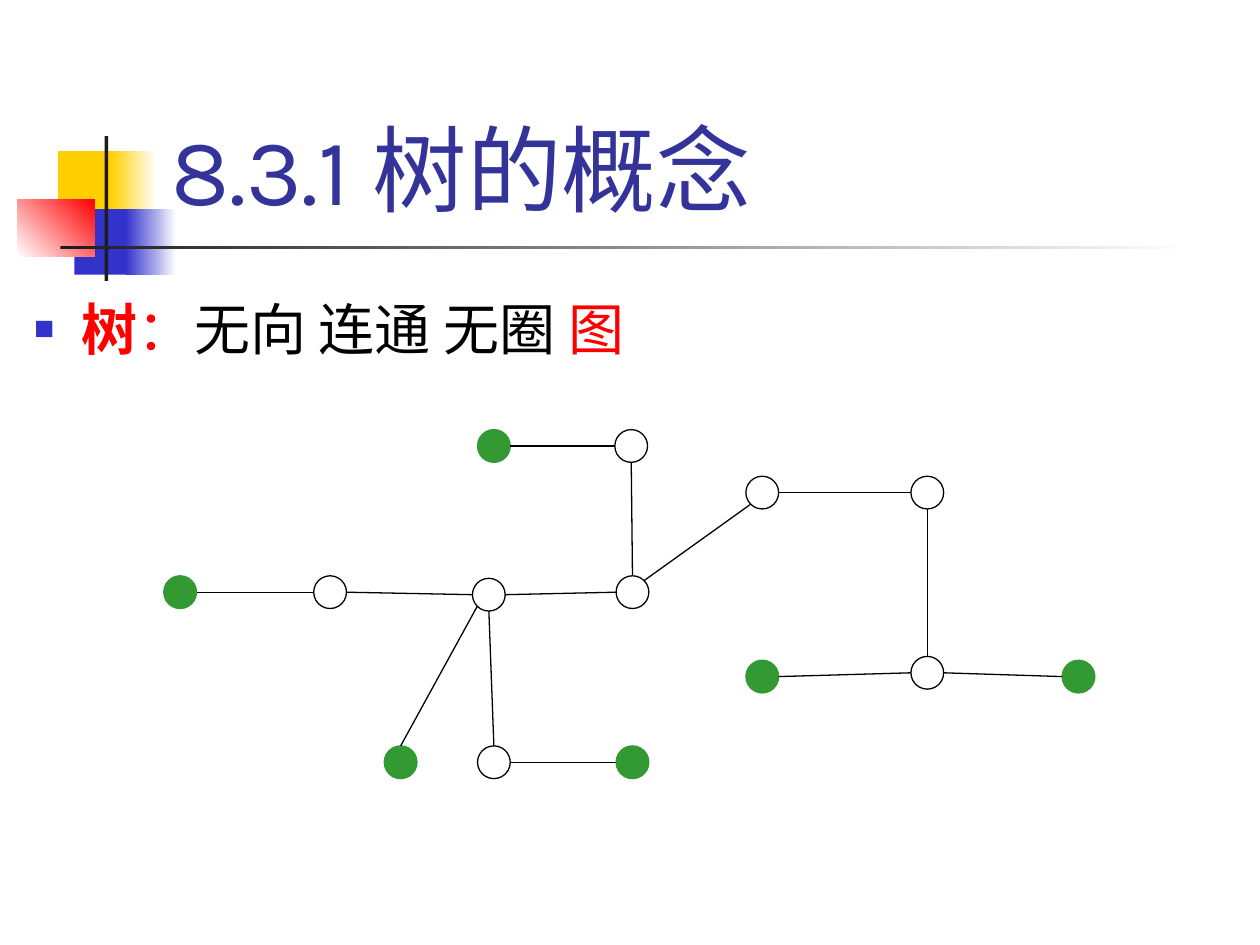
import math

from lxml import etree
from pptx import Presentation
from pptx.dml.color import RGBColor
from pptx.enum import shapes, text
from pptx.oxml import ns
from pptx.util import Inches, Pt

FONT = "Karla"
TITLE = "8.3.1 树的概念"
# text, colour, bold
DEFINITION = [
    ("树", "FF0000", True),
    ("：", "FF0000", False),
    ("无向 连通 无圈 ", "000000", False),
    ("图", "FF0000", False),
]

# left, top, width, height, colours (two make a gradient), angle
ORNAMENTS = [
    (0.46, 1.2, 0.48, 0.52, ["FFCF01"], 0),
    (0.88, 1.2, 0.36, 0.52, ["FFCF01", "FFFFFF"], 0),
    (0.59, 1.66, 0.46, 0.52, ["3333CC"], 0),
    (1, 1.66, 0.4, 0.52, ["3333CC", "FFFFFF"], 0),
    (0.14, 1.58, 0.61, 0.46, ["FFFFFF", "FF0000"], 45),
    (0.83, 1.08, 0.03, 1.15, ["1C1C1C"], 0),
    (0.48, 1.95, 9, 0.03, ["1C1C1C", "FFFFFF"], 0),
]

# Left and top of each vertex of the tree
INNER = {
    "hub": (3.75, 4.59), "top": (4.88, 3.41), "centre": (4.89, 4.57),
    "west": (2.49, 4.57), "east": (7.23, 5.21), "north": (5.92, 3.78),
    "corner": (7.23, 3.78), "south": (3.79, 5.92),
}
LEAVES = {
    "top leaf": (3.79, 3.41), "west leaf": (1.3, 4.57),
    "east leaf": (8.43, 5.24), "south leaf": (4.89, 5.92),
    "hub leaf": (3.05, 5.92), "inner leaf": (5.92, 5.24),
}
VERTICES = {**INNER, **LEAVES}
DIAMETER = 0.26

# Vertex and the angle on its rim (clockwise from the right), for both ends
RIGHT, DOWN, DOWN_LEFT, LEFT, UP, UP_RIGHT = 0, 90, 135, 180, 270, 315
EDGES = [
    ("top leaf", RIGHT, "top", LEFT),
    ("top", DOWN, "centre", UP),
    ("centre", LEFT, "hub", RIGHT),
    ("hub", DOWN, "south", UP),
    ("south", RIGHT, "south leaf", LEFT),
    ("hub", DOWN_LEFT, "hub leaf", UP),
    ("west", LEFT, "west leaf", RIGHT),
    ("centre", UP_RIGHT, "north", DOWN_LEFT),
    ("north", RIGHT, "corner", LEFT),
    ("inner leaf", RIGHT, "east", LEFT),
    ("corner", DOWN, "east", UP),
    ("east", RIGHT, "east leaf", LEFT),
    ("west", RIGHT, "hub", LEFT),
]


def rgb(value):
    return RGBColor.from_string(value)


def place(shape, *box):
    shape.left, shape.top, shape.width, shape.height = map(Inches, box)


def add_ornament(slide, left, top, width, height, colours, angle):
    block = slide.shapes.add_shape(
        shapes.MSO_SHAPE.RECTANGLE, *map(Inches, (left, top, width, height)))
    block.shadow.inherit = False
    block.line.fill.background()
    if len(colours) == 1:
        block.fill.solid()
        block.fill.fore_color.rgb = rgb(colours[0])
        return
    block.fill.gradient()
    block.fill.gradient_angle = angle
    for stop, colour in zip(block.fill.gradient_stops, colours):
        stop.color.rgb = rgb(colour)


def add_vertex(group, left, top, fill, line):
    vertex = group.shapes.add_shape(
        shapes.MSO_SHAPE.OVAL, *map(Inches, (left, top, DIAMETER, DIAMETER)))
    vertex.shadow.inherit = False
    vertex.fill.solid()
    vertex.fill.fore_color.rgb = rgb(fill)
    vertex.line.color.rgb = rgb(line)
    vertex.line.width = Pt(0.75)


def rim_point(name, angle):
    left, top = VERTICES[name]
    radius, turn = DIAMETER / 2, math.radians(angle)
    return (Inches(left + radius * (1 + math.cos(turn))),
            Inches(top + radius * (1 + math.sin(turn))))


def add_edge(group, start, start_angle, end, end_angle):
    edge = group.shapes.add_connector(
        shapes.MSO_CONNECTOR.STRAIGHT,
        *rim_point(start, start_angle), *rim_point(end, end_angle))
    edge.line.color.rgb = rgb("000000")
    edge.line.width = Pt(0.75)
    etree.SubElement(edge._element.spPr, ns.qn("a:effectLst"))


def set_bullet(paragraph, char, colour, percent, indent):
    props = paragraph._p.get_or_add_pPr()
    props.set("marL", str(Inches(indent)))
    props.set("indent", str(-Inches(indent)))
    bullet_colour = etree.SubElement(props, ns.qn("a:buClr"))
    etree.SubElement(bullet_colour, ns.qn("a:srgbClr"), val=colour)
    etree.SubElement(props, ns.qn("a:buSzPct"), val=str(percent * 1000))
    etree.SubElement(props, ns.qn("a:buChar"), char=char)


def write_title(title):
    place(title, 1.26, 0.23, 8.52, 1.6)
    frame = title.text_frame
    frame.text = TITLE
    frame.auto_size = text.MSO_AUTO_SIZE.NONE
    frame.vertical_anchor = text.MSO_ANCHOR.BOTTOM
    heading = frame.paragraphs[0]
    heading.alignment = text.PP_ALIGN.LEFT
    heading.font.name, heading.font.size = FONT, Pt(54)
    heading.font.color.rgb = rgb("333399")


def write_definition(body):
    place(body, 0.17, 2.02, 9.71, 5.36)
    body.text_frame.auto_size = text.MSO_AUTO_SIZE.NONE
    definition = body.text_frame.paragraphs[0]
    definition.line_spacing = 1.5
    definition.space_before = Pt(0)
    set_bullet(definition, "■", "3333CC", 60, 0.38)
    definition.font.name, definition.font.size = FONT, Pt(32)
    for words, colour, bold in DEFINITION:
        run = definition.add_run()
        run.text = words
        run.font.bold = bold
        run.font.color.rgb = rgb(colour)


def main():
    prs = Presentation()
    prs.slide_width, prs.slide_height = Inches(10), Inches(7.5)
    slide = prs.slides.add_slide(prs.slide_layouts[1])
    for ornament in ORNAMENTS:
        add_ornament(slide, *ornament)
    write_title(slide.shapes.title)
    write_definition(slide.placeholders[1])

    tree = slide.shapes.add_group_shape()
    for corner in INNER.values():
        add_vertex(tree, *corner, "FFFFFF", "000000")
    for corner in LEAVES.values():
        add_vertex(tree, *corner, "339933", "339933")
    for edge in EDGES:
        add_edge(tree, *edge)
    prs.save("out.pptx")


if __name__ == "__main__":
    main()
